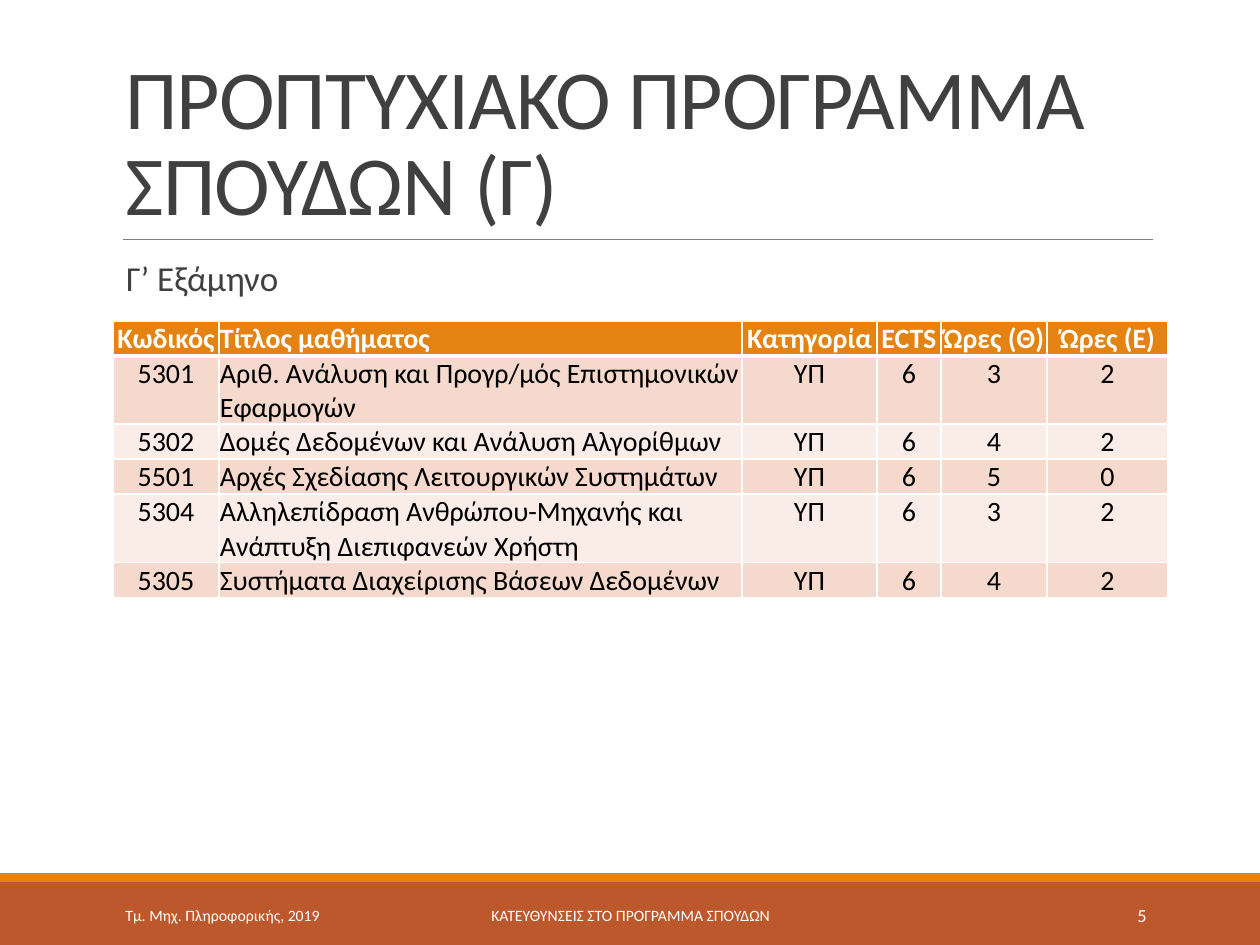
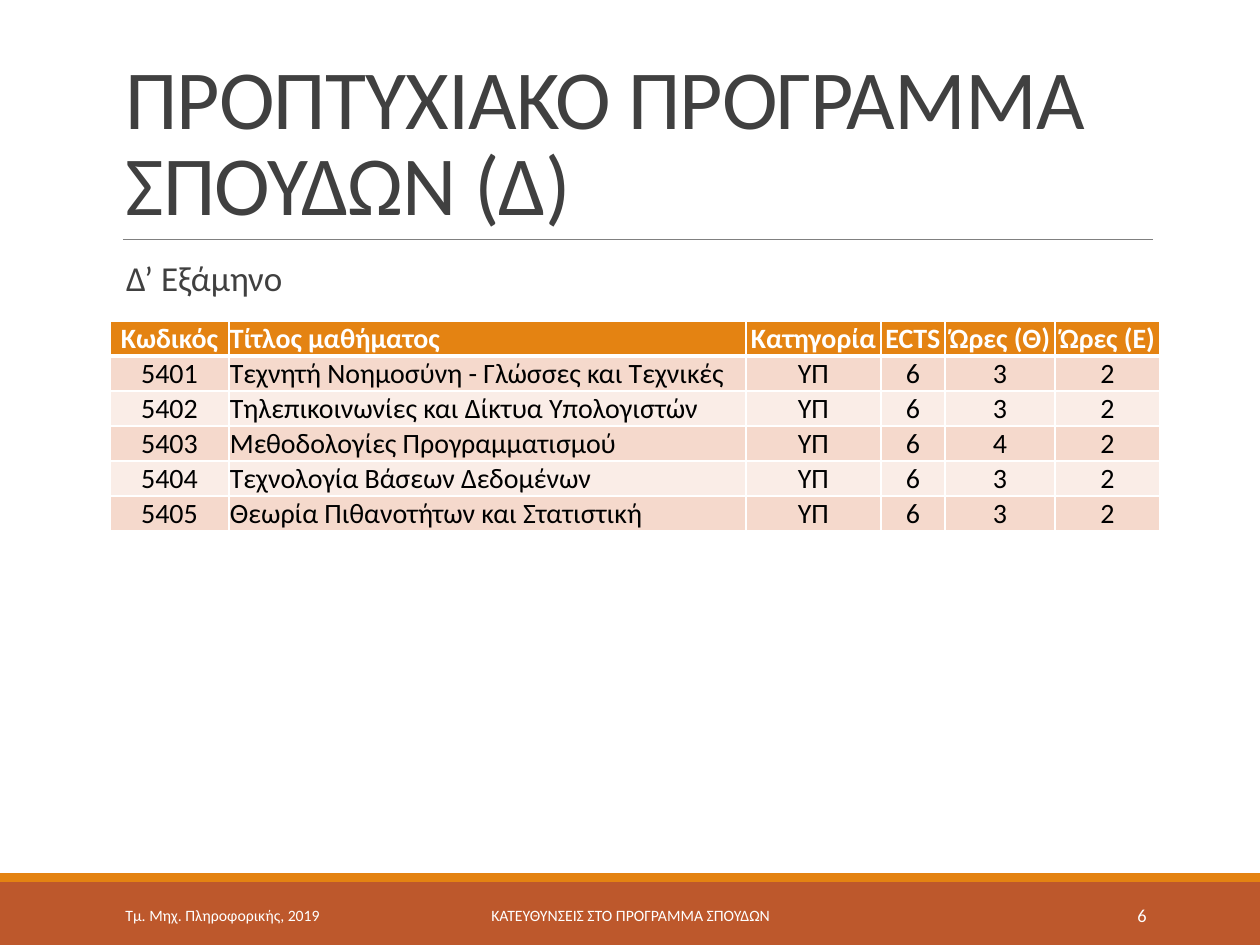
import pptx
import pptx.util
import pptx.dml.color
import pptx.enum.shapes
import pptx.enum.text
import pptx.oxml.ns
import lxml.etree

RGBColor = pptx.dml.color.RGBColor
ALIGN = pptx.enum.text.PP_ALIGN
ANCHOR = pptx.enum.text.MSO_ANCHOR
qn = pptx.oxml.ns.qn

WHITE = RGBColor(0xFF, 0xFF, 0xFF)
BLACK = RGBColor(0x00, 0x00, 0x00)
RUST = RGBColor(0xBD, 0x58, 0x2C)
ORANGE = RGBColor(0xE4, 0x83, 0x12)
DARK_GREY = RGBColor(0x40, 0x40, 0x40)
RULE_GREY = RGBColor(0x80, 0x80, 0x80)
BAND_DARK = RGBColor(0xF5, 0xD9, 0xCC)
BAND_LIGHT = RGBColor(0xFA, 0xED, 0xE7)
FONT = "Calibri"

HEADINGS = ["Κωδικός", "Τίτλος μαθήματος", "Κατηγορία", "ECTS", "Ώρες (Θ)", "Ώρες (Ε)"]
CATEGORY, ECTS = "ΥΠ", "6"
ROW_HEIGHT, TALL_ROW_HEIGHT = 35, 68

SEMESTERS = [
    {
        "letter": "Γ",
        "number": "5",
        "left": 113,
        "columns": [106, 523, 135, 64, 106, 121],
        "tall_rows": [1, 4],
        "courses": [
            ("5301", "Αριθ. Ανάλυση και Προγρ/μός Επιστημονικών Εφαρμογών", "3", "2"),
            ("5302", "Δομές Δεδομένων και Ανάλυση Αλγορίθμων", "4", "2"),
            ("5501", "Αρχές Σχεδίασης Λειτουργικών Συστημάτων", "5", "0"),
            ("5304", "Αλληλεπίδραση Ανθρώπου-Μηχανής και Ανάπτυξη Διεπιφανεών Χρήστη", "3", "2"),
            ("5305", "Συστήματα Διαχείρισης Βάσεων Δεδομένων", "4", "2"),
        ],
    },
    {
        "letter": "Δ",
        "number": "6",
        "left": 110,
        "columns": [119, 517, 135, 64, 110, 105],
        "tall_rows": [],
        "courses": [
            ("5401", "Τεχνητή Νοημοσύνη - Γλώσσες και Τεχνικές", "3", "2"),
            ("5402", "Τηλεπικοινωνίες και Δίκτυα Υπολογιστών", "3", "2"),
            ("5403", "Μεθοδολογίες Προγραμματισμού", "4", "2"),
            ("5404", "Τεχνολογία Βάσεων Δεδομένων", "3", "2"),
            ("5405", "Θεωρία Πιθανοτήτων και Στατιστική", "3", "2"),
        ],
    },
]


def px(length):
    return pptx.util.Emu(round(length * 914400 / 126))


def add_text(slide, text, box, size, color, align=ALIGN.LEFT, anchor=ANCHOR.MIDDLE):
    frame = slide.shapes.add_textbox(*map(px, box)).text_frame
    frame.word_wrap = True
    frame.vertical_anchor = anchor
    frame.text = text
    paragraph = frame.paragraphs[0]
    paragraph.alignment = align
    font = paragraph.runs[0].font
    font.name, font.size, font.color.rgb = FONT, pptx.util.Pt(size), color
    return frame


deck = pptx.Presentation()
deck.slide_width, deck.slide_height = px(1260), px(945)

for semester in SEMESTERS:
    slide = deck.slides.add_slide(deck.slide_layouts[6])

    for top, height, color in [(882, 63, RUST), (873, 9, ORANGE)]:
        band = slide.shapes.add_shape(
            pptx.enum.shapes.MSO_SHAPE.RECTANGLE, 0, px(top), deck.slide_width, px(height))
        band.shadow.inherit = False
        band.fill.solid()
        band.fill.fore_color.rgb = color
        band.line.fill.background()

    title_rule = slide.shapes.add_connector(
        pptx.enum.shapes.MSO_CONNECTOR.STRAIGHT, px(123), px(239), px(1153), px(239))
    title_rule.line.color.rgb = RULE_GREY
    title_rule.line.width = pptx.util.Pt(0.5)
    lxml.etree.SubElement(title_rule._element.spPr, qn("a:effectLst"))

    title = add_text(slide, f"ΠΡΟΠΤΥΧΙΑΚΟ ΠΡΟΓΡΑΜΜΑ ΣΠΟΥΔΩΝ ({semester['letter']})",
                     (113, 39, 1040, 200), 48, DARK_GREY, anchor=ANCHOR.BOTTOM)
    title.paragraphs[0].line_spacing = 0.85
    title.paragraphs[0].runs[0].font._element.set("spc", "-50")

    subtitle = add_text(slide, f"{semester['letter']}’ Εξάμηνο",
                        (113, 255, 1040, 554), 20, DARK_GREY, anchor=ANCHOR.TOP)
    subtitle.margin_left = subtitle.margin_right = 0
    subtitle_line = subtitle.paragraphs[0]
    subtitle_line.line_spacing = 0.9
    subtitle_line.space_before = pptx.util.Pt(12)
    subtitle_line.space_after = pptx.util.Pt(2)
    subtitle_line._p.get_or_add_pPr().set("marL", str(px(13)))

    add_text(slide, "Τμ. Μηχ. Πληροφορικής, 2019", (113, 890, 256, 50), 9, WHITE)
    add_text(slide, "ΚΑΤΕΥΘΥΝΣΕΙΣ ΣΤΟ ΠΡΟΓΡΑΜΜΑ ΣΠΟΥΔΩΝ", (381, 890, 499, 50), 9, WHITE, ALIGN.CENTER)
    add_text(slide, semester["number"], (1023, 890, 136, 50), 10.5, WHITE, ALIGN.RIGHT)

    rows = [HEADINGS] + [
        [code, course, CATEGORY, ECTS, theory, lab]
        for code, course, theory, lab in semester["courses"]
    ]
    heights = [TALL_ROW_HEIGHT if r in semester["tall_rows"] else ROW_HEIGHT
               for r in range(len(rows))]
    courses = slide.shapes.add_table(
        len(rows), len(HEADINGS), px(semester["left"]), px(321),
        px(sum(semester["columns"])), px(sum(heights))).table
    for column, width in zip(courses.columns, semester["columns"]):
        column.width = px(width)
    for row, height in zip(courses.rows, heights):
        row.height = px(height)

    for r, values in enumerate(rows):
        heading = r == 0
        for c, value in enumerate(values):
            cell = courses.cell(r, c)
            cell.margin_left = cell.margin_right = cell.margin_top = px(1)
            cell.margin_bottom = 0
            cell.vertical_anchor = ANCHOR.BOTTOM if heading else ANCHOR.TOP
            for side in "LRTB":
                thick = (heading and side == "B") or (r == 1 and side == "T")
                border = lxml.etree.SubElement(
                    cell._tc.get_or_add_tcPr(), qn(f"a:ln{side}"),
                    w=str(pptx.util.Pt(3 if thick else 1)))
                paint = lxml.etree.SubElement(border, qn("a:solidFill"))
                lxml.etree.SubElement(paint, qn("a:srgbClr"), val=str(WHITE))
            cell.fill.solid()
            cell.fill.fore_color.rgb = ORANGE if heading else BAND_DARK if r % 2 else BAND_LIGHT
            cell.text_frame.text = value
            paragraph = cell.text_frame.paragraphs[0]
            paragraph.alignment = ALIGN.LEFT if c == 1 else ALIGN.CENTER
            font = paragraph.runs[0].font
            font.name, font.size, font.bold = FONT, pptx.util.Pt(16), heading
            font.color.rgb = WHITE if heading else BLACK

deck.save("out.pptx")
